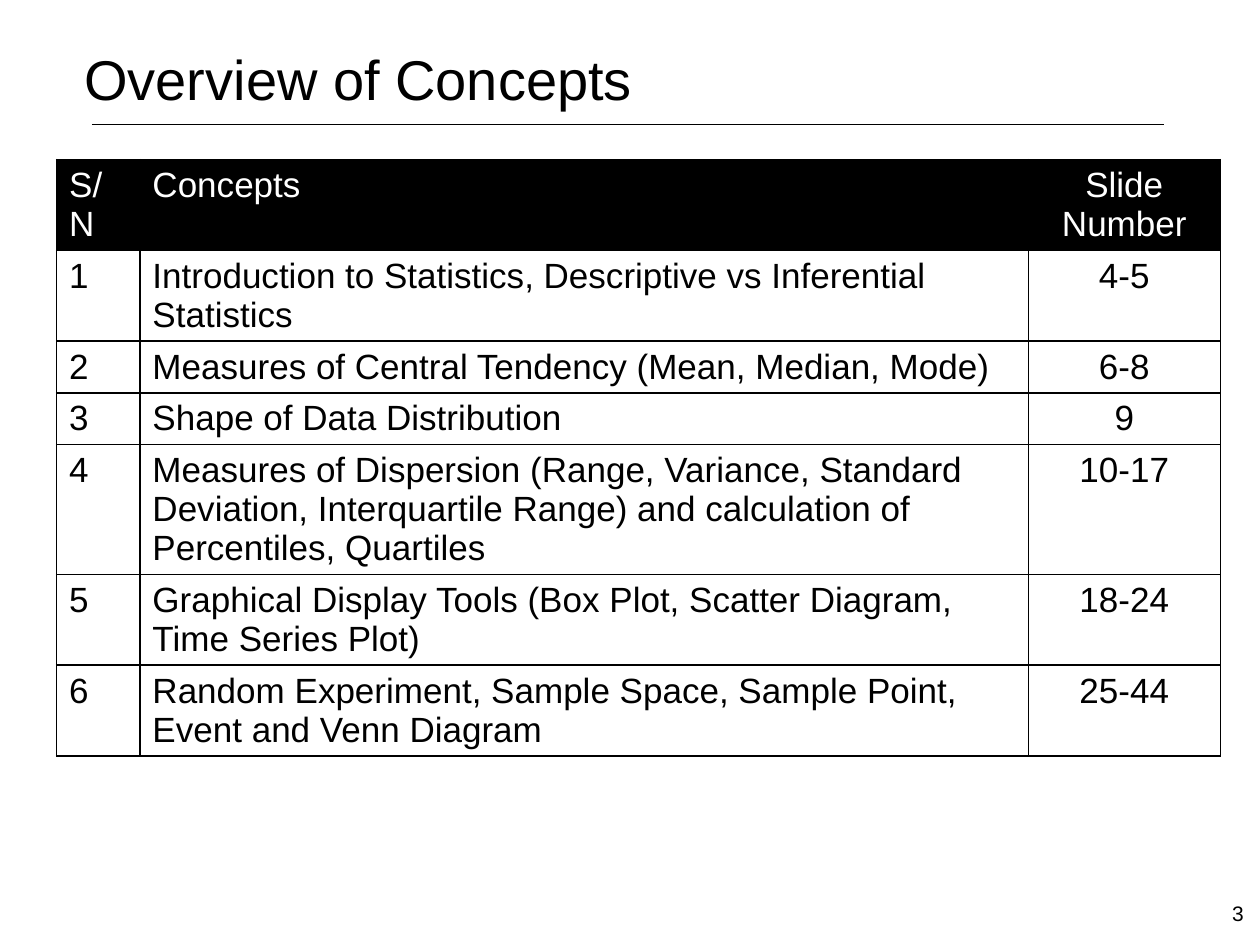
"""Build the overview slide with its table of concepts."""
from lxml import etree
from pptx import Presentation
from pptx.dml.color import RGBColor
from pptx.enum.shapes import MSO_CONNECTOR
from pptx.enum.text import MSO_ANCHOR, PP_ALIGN
from pptx.oxml.ns import qn
from pptx.util import Cm, Pt

TITLE = "Overview of Concepts"
PAGE_NUMBER = "3"
ROWS = [
    ("S/N", "Concepts", "Slide Number"),
    ("1", "Introduction to Statistics, Descriptive vs Inferential Statistics", "4-5"),
    ("2", "Measures of Central Tendency (Mean, Median, Mode)", "6-8"),
    ("3", "Shape of Data Distribution", "9"),
    ("4", "Measures of Dispersion (Range, Variance, Standard Deviation, "
          "Interquartile Range) and calculation of Percentiles, Quartiles", "10-17"),
    ("5", "Graphical Display Tools (Box Plot, Scatter Diagram, Time Series Plot)", "18-24"),
    ("6", "Random Experiment, Sample Space, Sample Point, Event and Venn Diagram", "25-44"),
]
COLUMN_WIDTHS = [1.68, 17.91, 3.87]
HEADER_HEIGHT, ROW_HEIGHT = 1.22, 1.04
TABLE_LINE_SPACING = Pt(22.3)

BLACK = RGBColor(0, 0, 0)
WHITE = RGBColor(255, 255, 255)
LEFT, CENTER = PP_ALIGN.LEFT, PP_ALIGN.CENTER
TOP = MSO_ANCHOR.TOP
STRAIGHT = MSO_CONNECTOR.STRAIGHT


def write(frame, text, *, size, color=BLACK, align=LEFT, spacing=None):
    frame.word_wrap = True
    para = frame.paragraphs[0]
    para.alignment = align
    para.line_spacing = spacing
    span = para.add_run()
    span.text = text
    span.font.name = "Arial"
    span.font.size = Pt(size)
    span.font.bold = False
    span.font.color.rgb = color


def add_text(page, text, left, top, width, height, **style):
    box = page.shapes.add_textbox(Cm(left), Cm(top), Cm(width), Cm(height))
    box.text_frame.vertical_anchor = TOP
    write(box.text_frame, text, **style)


def add_rule(page):
    rule = page.shapes.add_connector(STRAIGHT, Cm(1.85), Cm(2.51), Cm(23.47), Cm(2.51))
    rule.line.color.rgb = BLACK
    rule.line.width = Pt(0.25)
    etree.SubElement(rule._element.spPr, qn("a:effectLst"))


def add_borders(cell):
    properties = cell._tc.get_or_add_tcPr()
    for index, side in enumerate(("lnL", "lnR", "lnT", "lnB")):
        border = etree.Element(qn(f"a:{side}"), w=str(Pt(1)))
        fill = etree.SubElement(border, qn("a:solidFill"))
        etree.SubElement(fill, qn("a:srgbClr"), val=str(BLACK))
        properties.insert(index, border)


def add_concepts_table(page):
    height = HEADER_HEIGHT + ROW_HEIGHT * (len(ROWS) - 1)
    table = page.shapes.add_table(
        len(ROWS), len(COLUMN_WIDTHS), Cm(1.14), Cm(3.22),
        Cm(sum(COLUMN_WIDTHS)), Cm(height)).table
    table.horz_banding = False
    for column, width in zip(table.columns, COLUMN_WIDTHS):
        column.width = Cm(width)
    for row_index, texts in enumerate(ROWS):
        header = row_index == 0
        table.rows[row_index].height = Cm(HEADER_HEIGHT if header else ROW_HEIGHT)
        for column_index, text in enumerate(texts):
            cell = table.cell(row_index, column_index)
            cell.fill.solid()
            cell.fill.fore_color.rgb = BLACK if header else WHITE
            add_borders(cell)
            write(cell.text_frame, text, size=20, color=WHITE if header else BLACK,
                  align=CENTER if column_index == 2 else LEFT,
                  spacing=TABLE_LINE_SPACING)


def main():
    deck = Presentation()
    deck.slide_width, deck.slide_height = Cm(25.4), Cm(19.05)
    page = deck.slides.add_slide(deck.slide_layouts[6])
    add_rule(page)
    add_text(page, TITLE, 1.45, 0.78, 22.58, 3.18, size=32)
    add_concepts_table(page)
    add_text(page, PAGE_NUMBER, 24.59, 18.03, 0.81, 1.02, size=12)
    deck.save("out.pptx")


if __name__ == "__main__":
    main()
